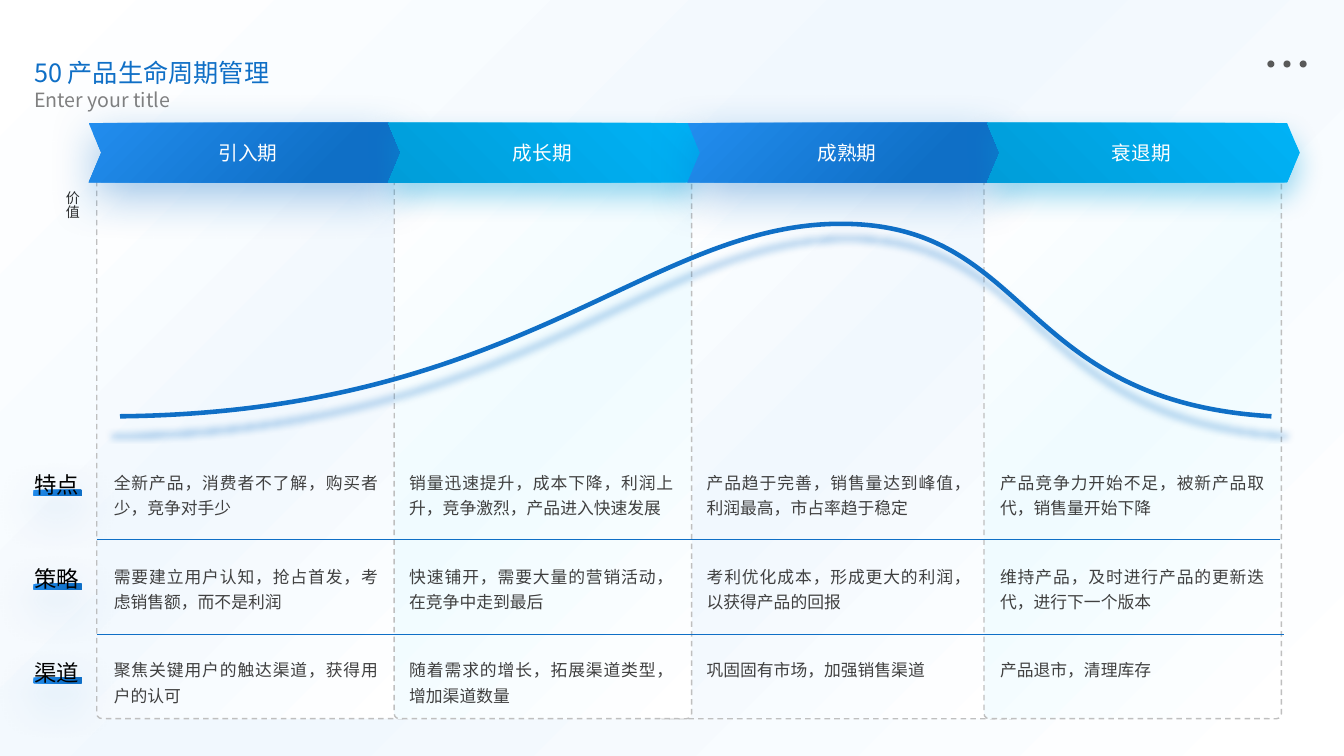
from lxml import etree
from pptx import Presentation
from pptx.dml.color import RGBColor
from pptx.enum import dml, shapes, text
from pptx.oxml import parse_xml
from pptx.oxml.ns import nsdecls, qn
from pptx.util import Inches, Pt

FONT = "Noto Sans CJK SC"
COLORS = {
    "blue": "0F6FC6", "bright blue": "228DEE", "cyan": "009DD9", "bright cyan": "00B2F6",
    "white": "FFFFFF", "pale blue": "F1F8FE", "pale cyan": "F0FBFF", "dash": "BFBFBF",
    "dots": "595959", "subtitle": "808080", "axis": "2C2C2C", "body": "404040",
    "black": "000000",
}
# Gradient stops, then the focus rectangle (left, top, right, bottom) in percent
GRADIENTS = {
    "blue panel": ([(0, "white"), (46, "pale blue"), (100, "white")], (0, 0, 100, 100)),
    "cyan panel": ([(0, "white"), (46, "pale cyan"), (100, "white")], (0, 0, 100, 100)),
    "blue": ([(23, "blue"), (100, "bright blue")], (100, 100, 0, 0)),
    "cyan": ([(0, "cyan"), (100, "bright cyan")], (0, 100, 100, 0)),
}
STAGES = ["引入期", "成长期", "成熟期", "衰退期"]
# Left, width and gradient of each panel, from back to front
PANELS = [(0.96, 3.13, "blue panel"), (6.51, 3.58, "blue panel"),
          (9.76, 2.95, "cyan panel"), (3.91, 2.95, "cyan panel")]
COLUMN_LEFTS = [1.03, 3.96, 6.91, 9.82]
ROWS = [
    ("特点", ["全新产品，消费者不了解，购买者少，竞争对手少",
            "销量迅速提升，成本下降，利润上升，竞争激烈，产品进入快速发展",
            "产品趋于完善，销售量达到峰值，利润最高，市占率趋于稳定",
            "产品竞争力开始不足，被新产品取代，销售量开始下降"]),
    ("策略", ["需要建立用户认知，抢占首发，考虑销售额，而不是利润",
            "快速铺开，需要大量的营销活动，在竞争中走到最后",
            "考利优化成本，形成更大的利润，以获得产品的回报",
            "维持产品，及时进行产品的更新迭代，进行下一个版本"]),
    ("渠道", ["聚焦关键用户的触达渠道，获得用户的认可",
            "随着需求的增长，拓展渠道类型，增加渠道数量",
            "巩固固有市场，加强销售渠道",
            "产品退市，清理库存"]),
]


def color(name):
    return RGBColor.from_string(COLORS[name])


def set_gradient(shape, name):
    stops, focus = GRADIENTS[name]
    stop_xml = "".join(
        f'<a:gs pos="{pos * 1000}"><a:srgbClr val="{COLORS[shade]}"/></a:gs>'
        for pos, shade in stops)
    sides = " ".join(f'{side}="{share * 1000}"' for side, share in zip("ltrb", focus))
    shape.fill.background()
    no_fill = shape.element.spPr.find(qn("a:noFill"))
    no_fill.getparent().replace(no_fill, parse_xml(
        f'<a:gradFill {nsdecls("a")} rotWithShape="1"><a:gsLst>{stop_xml}</a:gsLst>'
        f'<a:path path="circle"><a:fillToRect {sides}/></a:path></a:gradFill>'))


def set_shadow(shape, name, blur, distance, angle=90, scale=100):
    shape.shadow.inherit = False
    shape.element.spPr.find(qn("a:effectLst")).append(parse_xml(
        f'<a:outerShdw {nsdecls("a")} blurRad="{Pt(blur)}" dist="{Pt(distance)}" '
        f'dir="{angle * 60000}" sx="{scale * 1000}" sy="{scale * 1000}" algn="ctr" '
        f'rotWithShape="0"><a:srgbClr val="{COLORS[name]}"><a:alpha val="40000"/>'
        f'</a:srgbClr></a:outerShdw>'))


def add_shape(parent, kind, box, gradient=None, solid=None):
    shape = parent.shapes.add_shape(kind, *map(Inches, box))
    shape.shadow.inherit = False
    shape.line.fill.background()
    if gradient:
        set_gradient(shape, gradient)
    else:
        shape.fill.solid()
        shape.fill.fore_color.rgb = color(solid)
    return shape


def add_text(parent, box, words, size, shade, align=None, spacing=None):
    label = parent.shapes.add_textbox(*map(Inches, box))
    frame = label.text_frame
    frame.word_wrap = True
    frame.auto_size = text.MSO_AUTO_SIZE.SHAPE_TO_FIT_TEXT
    para = frame.paragraphs[0]
    para.text = words
    para.alignment = align
    para.line_spacing = spacing
    para.font.size = Pt(size)
    para.font.name = FONT
    para.font.color.rgb = color(shade)
    defaults = para._p.pPr.find(qn("a:defRPr"))
    etree.SubElement(defaults, qn("a:ea")).set("typeface", FONT)
    return frame


def add_header(page, left, top):
    add_text(page, (left, top, 4.66, 0.4), "50 产品生命周期管理", 18, "blue")
    add_text(page, (left, top + 0.3, 2.86, 0.34), "Enter your title", 14, "subtitle")
    for index in range(3):
        add_shape(page, shapes.MSO_SHAPE.OVAL,
                  (left + 12.33 + index * 0.16, top + 0.08, 0.07, 0.07), solid="dots")


def add_panels(page, top, height):
    for left, width, gradient in PANELS:
        panel = add_shape(page, shapes.MSO_SHAPE.ROUNDED_RECTANGLE,
                          (left, top, width, height), gradient)
        panel.adjustments[0] = 0.017
        panel.element.spPr.xfrm.set("flipH", "1")
        panel.line.color.rgb = color("dash")
        panel.line.width = Pt(1)
        panel.line.dash_style = dml.MSO_LINE.DASH


def add_axis_label(page, box):
    frame = add_text(page, box, "价值", 10, "axis", spacing=0.65)
    frame.margin_left = frame.margin_right = frame.margin_top = frame.margin_bottom = 0
    frame._txBody.bodyPr.set("vert", "eaVert")


def add_stages(page, left, top, width, height, step):
    band = page.shapes.add_group_shape()
    for index, stage in enumerate(STAGES):
        tone, blur, inset, label_width = [("blue", 32.4, 0.52, 2.12),
                                          ("cyan", 20, 0.09, 2.88)][index % 2]
        x = left + index * step
        chevron = add_shape(band, shapes.MSO_SHAPE.CHEVRON, (x, top, width, height), tone)
        chevron.adjustments[0] = 0.211
        set_shadow(chevron, tone, blur, 9.7)
        add_text(band, (x + inset, top + 0.13, label_width, 0.34), stage, 14, "white",
                 text.PP_ALIGN.CENTER)


def add_value_curve(page, left, top, width, height):
    """Draw two Bézier arcs: the rise to the peak and the fall after it."""
    right, bottom, peak = left + width, top + height, left + 7.15
    points = [(left + 3.97, bottom - 0.04), (left + 5.24, top), (peak, top),
              (peak + 1.9, top), (peak + 1.74, bottom - 0.15), (right, bottom)]
    builder = page.shapes.build_freeform(Inches(left), Inches(bottom))
    builder.add_line_segments([(Inches(x), Inches(y)) for x, y in points], close=False)
    curve = builder.convert_to_shape()
    segments = list(curve.element.iter(qn("a:lnTo")))
    outline = segments[0].getparent()
    for start in (0, 3):
        arc = etree.SubElement(outline, qn("a:cubicBezTo"))
        for segment in segments[start:start + 3]:
            arc.append(segment[0])
            outline.remove(segment)
    curve.fill.background()
    curve.line.color.rgb = color("blue")
    curve.line.width = Pt(3.25)
    set_shadow(curve, "blue", 5, 12, 80, 102)


def add_rows(page, top, step):
    for index, (heading, cells) in enumerate(ROWS):
        y = top + index * step
        bar = add_shape(page, shapes.MSO_SHAPE.ROUNDED_RECTANGLE,
                        (0.33, y + 0.27, 0.48, 0.06), "blue")
        set_shadow(bar, "blue", 32.4, 9.7)
        add_text(page, (0.24, y + 0.04, 0.71, 0.37), heading, 16, "black")
        for left, cell in zip(COLUMN_LEFTS, cells):
            add_text(page, (left, y, 2.82, 0.59), cell, 12, "body",
                     text.PP_ALIGN.JUSTIFY, 1.25)
    for right, y in [(12.7, 5.35), (12.73, 6.29)]:
        divider = page.shapes.add_connector(
            shapes.MSO_CONNECTOR.STRAIGHT, *map(Inches, (0.96, y, right, y)))
        divider.line.color.rgb = color("blue")
        divider.line.width = Pt(0.5)
        etree.SubElement(divider.element.spPr, qn("a:effectLst"))


def main():
    deck = Presentation()
    deck.slide_width, deck.slide_height = Inches(13.33), Inches(7.5)
    page = deck.slides.add_slide(deck.slide_layouts[6])
    add_shape(page, shapes.MSO_SHAPE.RECTANGLE, (-0.02, 0, 13.35, 7.5), "blue panel")
    add_panels(page, 1.65, 5.48)
    add_header(page, 0.24, 0.52)
    add_axis_label(page, (0.63, 1.9, 0.12, 0.72))
    add_stages(page, 0.88, 1.22, 3.1, 0.59, 2.97)
    add_value_curve(page, 1.19, 2.22, 11.42, 1.91)
    add_rows(page, 4.59, 0.93)
    deck.save("out.pptx")


if __name__ == "__main__":
    main()
